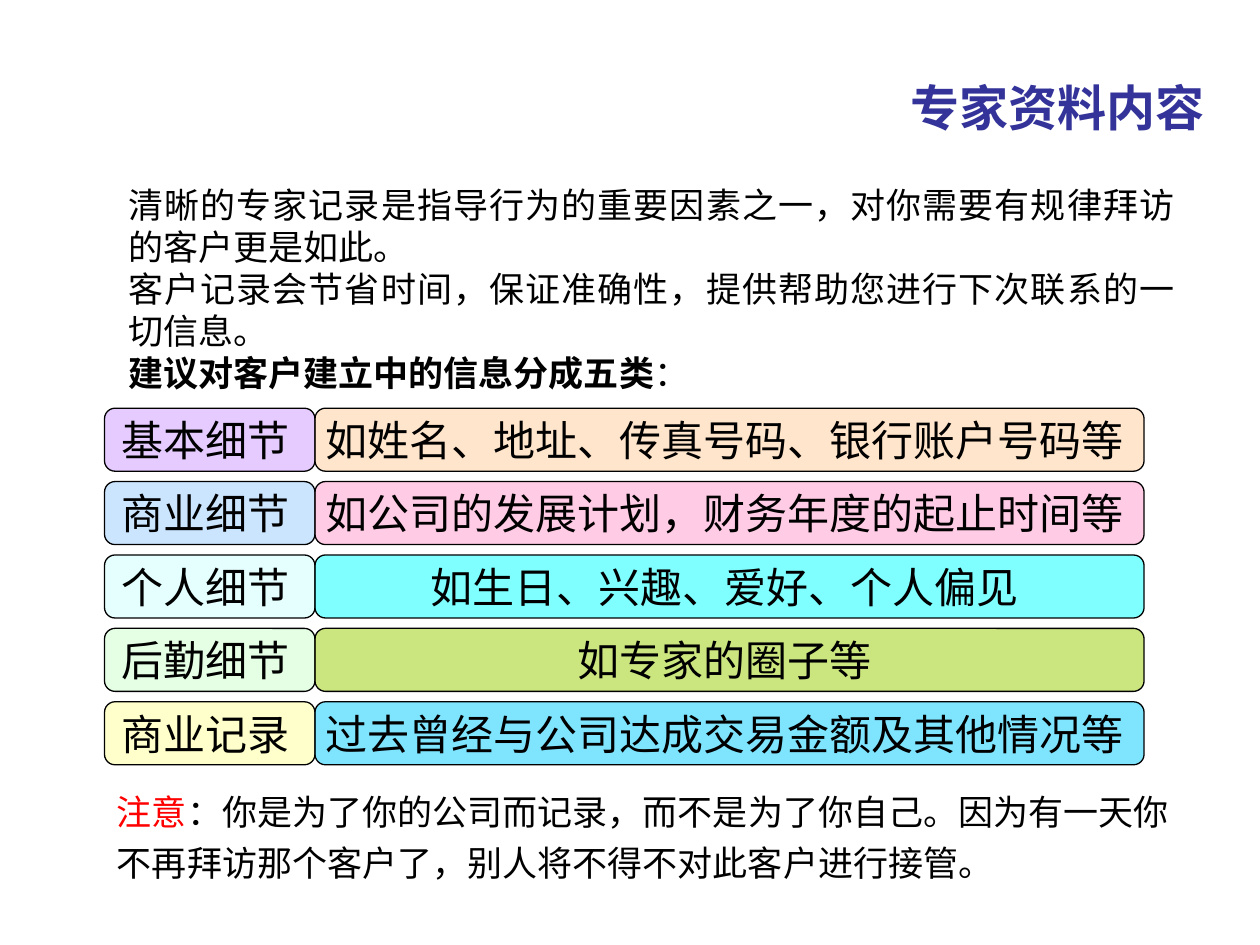
"""Builds a slide on the five kinds of information in an expert record."""
from pptx import Presentation
from pptx.dml.color import RGBColor
from pptx.enum.shapes import MSO_SHAPE
from pptx.enum.text import MSO_ANCHOR, MSO_AUTO_SIZE, PP_ALIGN
from pptx.oxml.ns import qn
from pptx.util import Inches, Pt
from lxml.etree import SubElement

BLACK = RGBColor(0x00, 0x00, 0x00)
WHITE = RGBColor(0xFF, 0xFF, 0xFF)
RED = RGBColor(0xFF, 0x00, 0x00)
INDIGO = RGBColor(0x33, 0x33, 0x99)
LAVENDER = RGBColor(0xCC, 0x99, 0xFF)
PEACH = RGBColor(0xFF, 0xCC, 0x99)
SKY = RGBColor(0x99, 0xCC, 0xFF)
PINK = RGBColor(0xFF, 0x99, 0xCC)
PALE_CYAN = RGBColor(0xCC, 0xFF, 0xFF)
CYAN = RGBColor(0x00, 0xFF, 0xFF)
MINT = RGBColor(0xCC, 0xFF, 0xCC)
LIME = RGBColor(0x99, 0xCC, 0x00)
YELLOW = RGBColor(0xFF, 0xFF, 0x99)
AZURE = RGBColor(0x00, 0xCC, 0xFF)

CATEGORIES = [
    ("基本细节 ", LAVENDER, "如姓名、地址、传真号码、银行账户号码等 ", PEACH),
    ("商业细节 ", SKY, "如公司的发展计划，财务年度的起止时间等 ", PINK),
    ("个人细节 ", PALE_CYAN, "如生日、兴趣、爱好、个人偏见 ", CYAN),
    ("后勤细节 ", MINT, "如专家的圈子等 ", LIME),
    ("商业记录 ", YELLOW, "过去曾经与公司达成交易金额及其他情况等 ", AZURE),
]
INTRODUCTION = [
    [("清晰的专家记录是指导行为的重要因素之一，对你需要有规律拜访的客户更是如此。", {})],
    [("客户记录会节省时间，保证准确性，提供帮助您进行下次联系的一切信息。", {})],
    [("建议对客户建立中的信息分成五类", {"bold": True}), ("：", {})],
]
NOTE = [[
    ("注意", {"color": RED}),
    ("：你是为了你的公司而记录，而不是为了你自己。因为有一天你不再拜访那个客户了，别人将不得不对此客户进行接管。", {}),
]]


def add_span(para, text, font="Times New Roman", size=20, color=BLACK, bold=False):
    span = para.add_run()
    span.text = text
    span.font.name = font
    span.font.size = Pt(size)
    span.font.color.rgb = color
    span.font.bold = bold


class SlideBuilder:
    def __init__(self, slide):
        self.slide = slide
        self.outline_width = Pt(0.75)
        self.category_size = 24
        self.fill_opacity = 50

    def set_text(self, box, paragraphs, align, line_spacing=1.0,
                 anchor=MSO_ANCHOR.TOP, wrap=True):
        frame = box.text_frame
        frame.auto_size = MSO_AUTO_SIZE.NONE
        frame.word_wrap = wrap
        frame.vertical_anchor = anchor
        for index, spans in enumerate(paragraphs):
            para = frame.add_paragraph() if index else frame.paragraphs[0]
            para.alignment = align
            para.line_spacing = line_spacing
            for text, style in spans:
                add_span(para, text, **style)

    def title(self, text, left, top, width, height):
        box = self.slide.shapes.title
        box.left, box.top = Inches(left), Inches(top)
        box.width, box.height = Inches(width), Inches(height)
        style = {"font": "Arial", "size": 28, "color": INDIGO, "bold": True}
        self.set_text(box, [[(text, style)]], PP_ALIGN.LEFT, 1.1)

    def text_box(self, paragraphs, left, top, width, height,
                 align=PP_ALIGN.LEFT, line_spacing=1.0, fill=None):
        box = self.slide.shapes.add_textbox(
            Inches(left), Inches(top), Inches(width), Inches(height))
        if fill is not None:
            box.fill.solid()
            box.fill.fore_color.rgb = fill
        self.set_text(box, paragraphs, align, line_spacing)

    def category_box(self, text, color, left, top, width, height):
        box = self.slide.shapes.add_shape(
            MSO_SHAPE.ROUNDED_RECTANGLE,
            Inches(left), Inches(top), Inches(width), Inches(height))
        box.shadow.inherit = False
        box.fill.solid()
        box.fill.fore_color.rgb = color
        color_element = box.element.spPr.find(qn("a:solidFill"))[0]
        SubElement(color_element, qn("a:alpha"), val=str(self.fill_opacity * 1000))
        box.line.color.rgb = BLACK
        box.line.width = self.outline_width
        self.set_text(box, [[(text, {"size": self.category_size})]],
                      PP_ALIGN.CENTER, anchor=MSO_ANCHOR.MIDDLE, wrap=False)


def main():
    deck = Presentation()
    deck.slide_width, deck.slide_height = Inches(10), Inches(7.5)
    page = SlideBuilder(deck.slides.add_slide(deck.slide_layouts[5]))
    page.title("专家资料内容", 7.13, 0.52, 2.58, 0.62)
    page.text_box(INTRODUCTION, 0.92, 1.41, 8.5, 1.77,
                  align=PP_ALIGN.JUSTIFY, fill=WHITE)
    page.text_box(NOTE, 0.83, 6.16, 8.58, 0.9, line_spacing=1.2)

    left, first_top, last_top = 0.83, 3.24, 5.57
    label_width, detail_width, height = 1.67, 6.58, 0.5
    pitch = (last_top - first_top) / (len(CATEGORIES) - 1)
    for row, (label, label_color, detail, detail_color) in enumerate(CATEGORIES):
        top = first_top + row * pitch
        page.category_box(label, label_color, left, top, label_width, height)
        page.category_box(detail, detail_color, left + label_width, top,
                          detail_width, height)
    deck.save("out.pptx")


if __name__ == "__main__":
    main()
